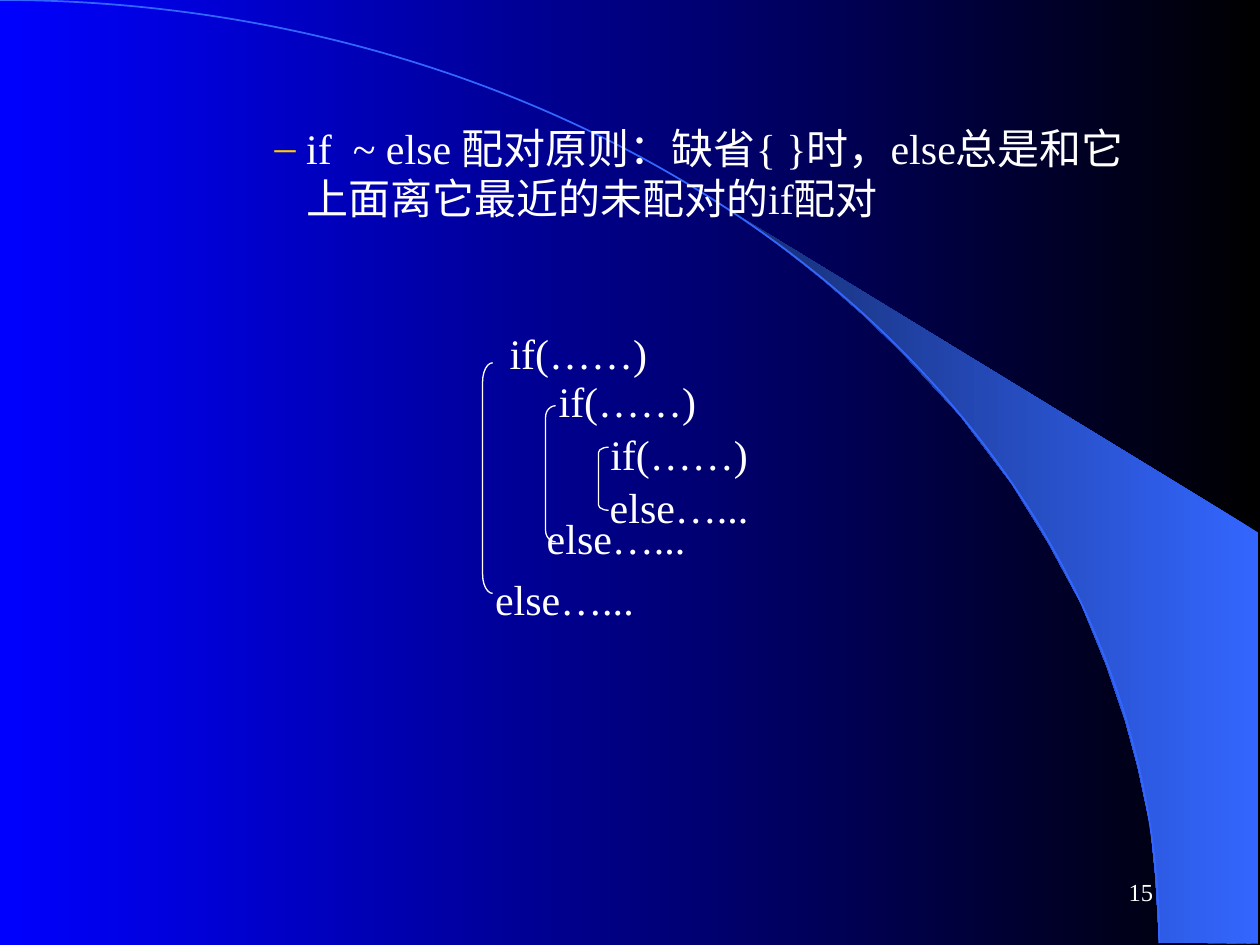
from lxml.etree import SubElement
from pptx import Presentation
from pptx.dml.color import RGBColor
from pptx.enum.shapes import MSO_SHAPE as Shape
from pptx.enum.text import MSO_ANCHOR as Anchor, MSO_AUTO_SIZE as AutoSize, PP_ALIGN as Align
from pptx.oxml.ns import qn
from pptx.util import Inches, Pt

BLACK = RGBColor(0x00, 0x00, 0x00)
WHITE = RGBColor(0xFF, 0xFF, 0xFF)
BLUE = RGBColor(0x00, 0x00, 0xFF)
SWEEP_BLUE = RGBColor(0x33, 0x66, 0xFF)
SWEEP_DARK = RGBColor(0x17, 0x2F, 0x75)
BULLET_GOLD = "FFCC00"
FONT = "Times New Roman"

SWEEP = [
    (9.2, 7.48), (9.99, 7.49), (9.99, 4.23), (5.89, 1.73), (6.24, 1.99),
    (6.53, 2.22), (6.85, 2.5), (7.16, 2.8), (7.62, 3.3), (8.03, 3.84),
    (8.32, 4.31), (8.58, 4.79), (8.78, 5.28), (8.93, 5.72), (9.03, 6.09),
    (9.13, 6.56), (9.17, 6.96),
]
RULE = "if  ~ else 配对原则：缺省{ }时，else总是和它上面离它最近的未配对的if配对"
IF, ELSE = "if(……)", "else…..."
# Left, top and text of each code line
CODE_LINES = [
    (3.94, 2.55, IF), (4.33, 2.93, IF), (4.74, 3.35, IF),
    (4.74, 3.77, ELSE), (4.24, 4.02, ELSE), (3.83, 4.5, ELSE),
]
# Left, top and height of each bracket joining an if with its else
BRACKETS = [(4.75, 3.55, 0.5), (4.33, 3.22, 1.08), (3.83, 2.88, 1.83)]
BRACKET_WIDTH = 0.08


def set_gradient(fill, first, last):
    """Run a two-colour gradient from right to left."""
    fill.gradient()
    fill.gradient_angle = 180
    for stop, color, position in zip(fill.gradient_stops, (first, last), (0, 1)):
        stop.color.rgb = color
        stop.position = position


def set_font(paragraph, size):
    paragraph.font.name = FONT
    paragraph.font.size = Pt(size)
    paragraph.font.color.rgb = WHITE


def add_outline(slide, kind, left, top, width, height, color, weight):
    outline = slide.shapes.add_shape(
        kind, Inches(left), Inches(top), Inches(width), Inches(height))
    outline.shadow.inherit = False
    outline.fill.background()
    outline.line.color.rgb = color
    outline.line.width = Pt(weight)
    return outline


def add_label(slide, left, top, width, text, size, align, wrap):
    label = slide.shapes.add_textbox(
        Inches(left), Inches(top), Inches(width), Inches(0.5))
    frame = label.text_frame
    frame.word_wrap = wrap
    frame.vertical_anchor = Anchor.MIDDLE
    paragraph = frame.paragraphs[0]
    paragraph.text = text
    paragraph.alignment = align
    set_font(paragraph, size)


def add_backdrop(slide):
    set_gradient(slide.background.fill, BLACK, BLUE)
    points = [(Inches(x), Inches(y)) for x, y in SWEEP]
    builder = slide.shapes.build_freeform(*points[0])
    builder.add_line_segments(points[1:], close=True)
    sweep = builder.convert_to_shape()
    sweep.shadow.inherit = False
    set_gradient(sweep.fill, SWEEP_BLUE, SWEEP_DARK)
    sweep.line.fill.background()
    add_outline(slide, Shape.ARC, -9.2, 0, 18.4, 14.97, SWEEP_BLUE, 1)


def fill_rule(body):
    body.left, body.top = Inches(0.58), Inches(0.92)
    body.width, body.height = Inches(8.75), Inches(1.17)
    frame = body.text_frame
    frame.auto_size = AutoSize.NONE
    rule = frame.paragraphs[0]
    rule.text = RULE
    rule.level = 3
    rule.space_before = Pt(6)
    # Gold dash bullet with a hanging indent
    properties = rule._p.get_or_add_pPr()
    properties.set("marL", str(Inches(1.75)))
    properties.set("indent", str(Inches(-0.25)))
    bullet_color = SubElement(properties, qn("a:buClr"))
    SubElement(bullet_color, qn("a:srgbClr"), val=BULLET_GOLD)
    SubElement(properties, qn("a:buFont"), typeface=FONT)
    SubElement(properties, qn("a:buChar"), char="–")
    set_font(rule, 24)


def add_code(slide):
    for left, top, text in CODE_LINES:
        add_label(slide, left, top, 1.3, text, 24, Align.CENTER, False)
    for left, top, height in BRACKETS:
        bracket = add_outline(slide, Shape.LEFT_BRACKET, left, top,
                              BRACKET_WIDTH, height, WHITE, 0.75)
        # Each corner takes one twelfth of the height
        bracket.adjustments[0] = height / BRACKET_WIDTH / 12


def main():
    deck = Presentation()
    deck.slide_width, deck.slide_height = Inches(10), Inches(7.5)
    slide = deck.slides.add_slide(deck.slide_layouts[1])
    title, body = slide.placeholders
    tree = title.element.getparent()
    tree.remove(title.element)

    add_backdrop(slide)
    tree.append(body.element)  # the rule stands in front of the backdrop
    fill_rule(body)
    add_code(slide)
    # Slide number
    add_label(slide, 7.17, 6.83, 2.08, "15", 14, Align.RIGHT, True)
    deck.save("out.pptx")


if __name__ == "__main__":
    main()
